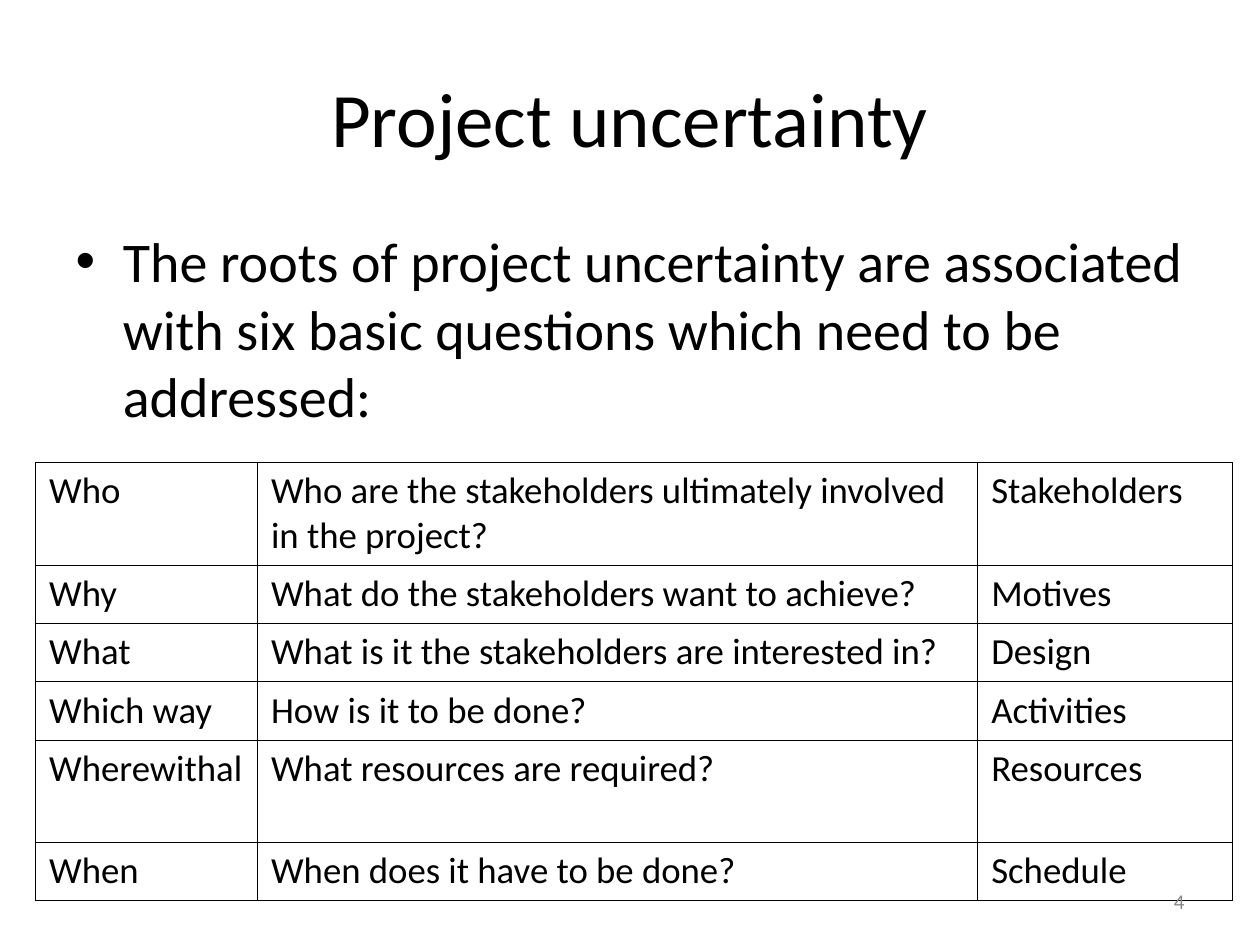
from lxml.etree import SubElement
from pptx import Presentation
from pptx.dml.color import RGBColor
from pptx.enum.text import MSO_ANCHOR, MSO_AUTO_SIZE, PP_ALIGN
from pptx.oxml.ns import qn
from pptx.util import Pt

BLACK = "000000"
GREY = "898989"

QUESTIONS = [
    ("Who", "Who are the stakeholders ultimately involved in the project?", "Stakeholders"),
    ("Why", "What do the stakeholders want to achieve?", "Motives"),
    ("What", "What is it the stakeholders are interested in?", "Design"),
    ("Which way", "How is it to be done?", "Activities"),
    ("Wherewithal", "What resources are required?", "Resources"),
    ("When", "When does it have to be done?", "Schedule"),
]
COLUMN_WIDTHS = [126.8, 411.6, 145.6]
SINGLE_ROW, DOUBLE_ROW = 33.4, 58.4
ROW_HEIGHTS = [DOUBLE_ROW, SINGLE_ROW, SINGLE_ROW, SINGLE_ROW, DOUBLE_ROW, SINGLE_ROW]


def color(hex_string):
    return RGBColor.from_string(hex_string)


class SlideBuilder:
    """Holds the text style and the slide being built."""

    font_name = "Calibri"

    def __init__(self, slide):
        self.slide = slide

    def add_text(self, frame, text, size, hex_string=BLACK, align=PP_ALIGN.LEFT):
        paragraph = frame.paragraphs[0]
        paragraph.alignment = align
        run = paragraph.add_run()
        run.text = text
        run.font.name = self.font_name
        run.font.size = Pt(size)
        run.font.color.rgb = color(hex_string)
        return paragraph

    def place(self, shape, left, top, width, height, anchor):
        shape.left, shape.top = Pt(left), Pt(top)
        shape.width, shape.height = Pt(width), Pt(height)
        frame = shape.text_frame
        frame.word_wrap = True
        frame.auto_size = MSO_AUTO_SIZE.NONE
        frame.vertical_anchor = anchor
        return frame

    def title(self, text, *box):
        frame = self.place(self.slide.shapes.title, *box, MSO_ANCHOR.MIDDLE)
        self.add_text(frame, text, 44, align=PP_ALIGN.CENTER)

    def bullet(self, text, *box):
        frame = self.place(self.slide.placeholders[1], *box, MSO_ANCHOR.TOP)
        paragraph = self.add_text(frame, text, 32)
        paragraph.space_before = Pt(0)
        properties = paragraph._p.get_or_add_pPr()
        properties.set("marL", str(Pt(27)))
        properties.set("indent", str(Pt(-27)))
        SubElement(properties, qn("a:buChar"), char="•")

    def label(self, text, *box):
        shape = self.slide.shapes.add_textbox(0, 0, 0, 0)
        frame = self.place(shape, *box, MSO_ANCHOR.MIDDLE)
        self.add_text(frame, text, 12, GREY, PP_ALIGN.RIGHT)

    def border(self, cell):
        properties = cell._tc.get_or_add_tcPr()
        for side in ("lnL", "lnR", "lnT", "lnB"):
            line = SubElement(properties, qn(f"a:{side}"), w=str(Pt(0.45)))
            fill = SubElement(line, qn("a:solidFill"))
            SubElement(fill, qn("a:srgbClr"), val=BLACK)

    def table(self, rows, left, top, widths, heights):
        table = self.slide.shapes.add_table(
            len(rows), len(widths), Pt(left), Pt(top), Pt(sum(widths)), Pt(sum(heights))
        ).table
        table.first_row = table.horz_banding = False
        for column, width in zip(table.columns, widths):
            column.width = Pt(width)
        for row, height, texts in zip(table.rows, heights, rows):
            row.height = Pt(height)
            for cell, text in zip(row.cells, texts):
                cell.margin_left = cell.margin_right = Pt(7.9)
                cell.margin_top = cell.margin_bottom = Pt(3.6)
                self.border(cell)
                cell.fill.background()
                self.add_text(cell.text_frame, text, 21)


def main():
    presentation = Presentation()
    presentation.slide_width, presentation.slide_height = Pt(720), Pt(540)
    builder = SlideBuilder(presentation.slides.add_slide(presentation.slide_layouts[1]))

    # Heading and introduction
    builder.title("Project uncertainty", 36, 21.6, 648, 90)
    builder.bullet(
        "The roots of project uncertainty are associated with six basic questions "
        "which need to be addressed:",
        36, 126, 648, 356.4,
    )

    # The six questions
    builder.table(QUESTIONS, 20.2, 264.2, COLUMN_WIDTHS, ROW_HEIGHTS)

    # Slide number
    builder.label("4", 516, 500.4, 168, 28.8)

    presentation.save("out.pptx")


if __name__ == "__main__":
    main()
